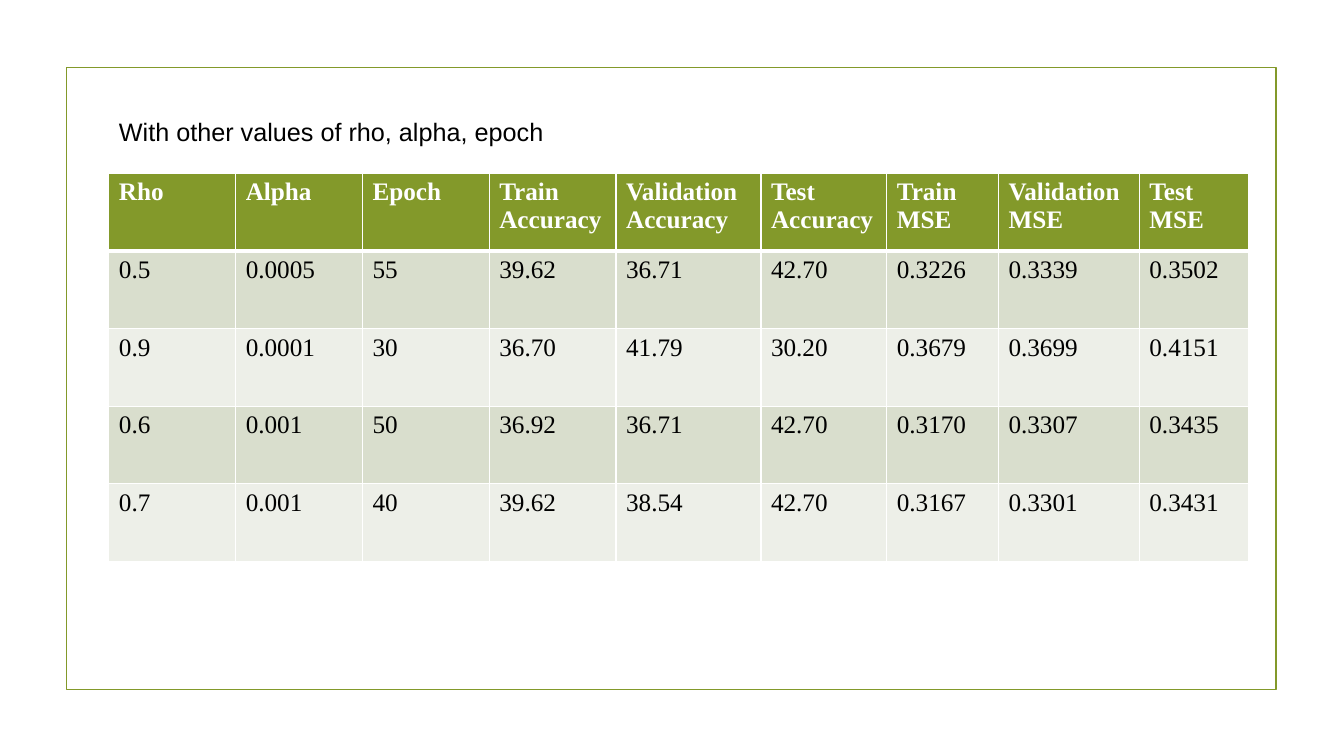
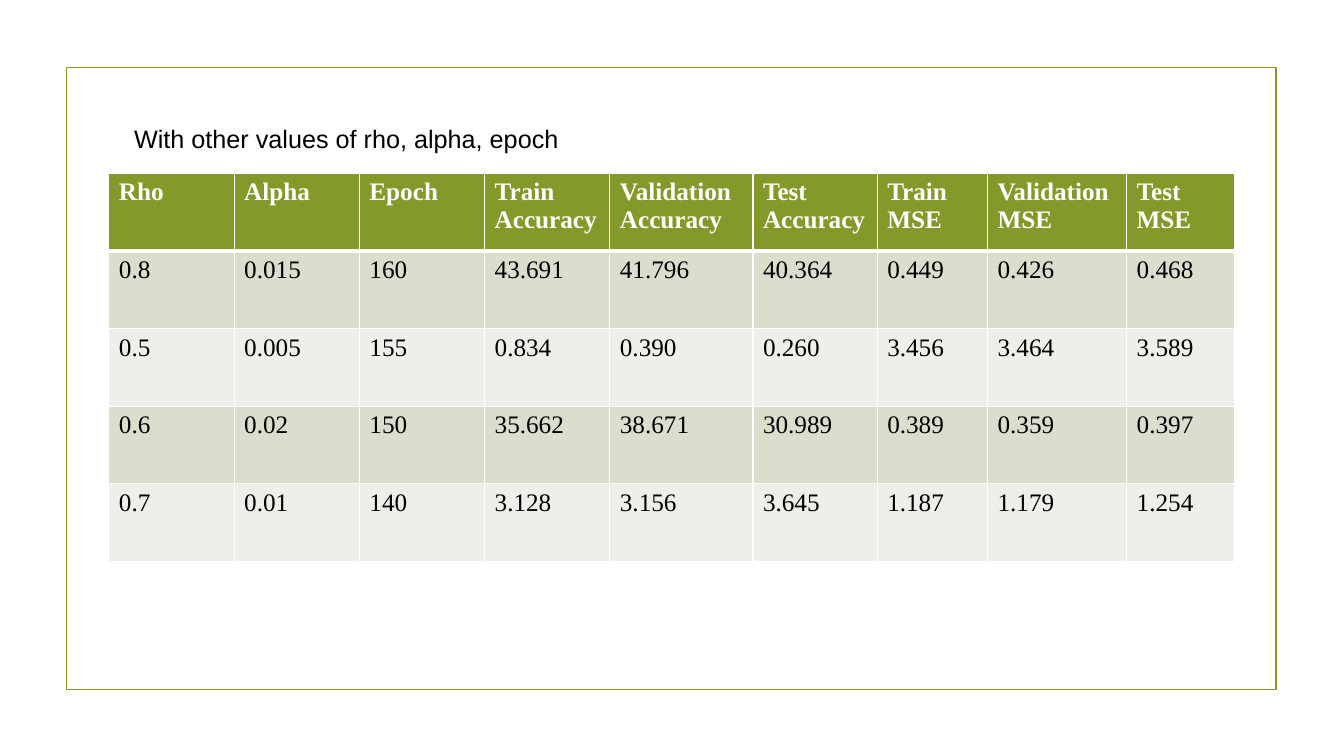
import lxml.etree
import pptx
import pptx.dml.color
import pptx.enum.shapes
import pptx.enum.text
import pptx.oxml.ns
import pptx.util

HEADING = "With other values of rho, alpha, epoch"
COLUMNS = [
    ("Rho", 126), ("Alpha", 126), ("Epoch", 126),
    ("Train\nAccuracy", 126), ("Validation\nAccuracy", 144), ("Test\nAccuracy", 125),
    ("Train\nMSE", 111), ("Validation\nMSE", 140), ("Test\nMSE", 109),
]
PAGES = [
    {
        "heading_box": (108, 110, 1082, 40),
        "table_width": 1131,
        "rows": [
            ("0.5", "0.0005", "55", "39.62", "36.71", "42.70", "0.3226", "0.3339", "0.3502"),
            ("0.9", "0.0001", "30", "36.70", "41.79", "30.20", "0.3679", "0.3699", "0.4151"),
            ("0.6", "0.001", "50", "36.92", "36.71", "42.70", "0.3170", "0.3307", "0.3435"),
            ("0.7", "0.001", "40", "39.62", "38.54", "42.70", "0.3167", "0.3301", "0.3431"),
        ],
    },
    {
        "heading_box": (123, 117, 750, 101),
        "table_width": 1117,
        "rows": [
            ("0.8", "0.015", "160", "43.691", "41.796", "40.364", "0.449", "0.426", "0.468"),
            ("0.5", "0.005", "155", "0.834", "0.390", "0.260", "3.456", "3.464", "3.589"),
            ("0.6", "0.02", "150", "35.662", "38.671", "30.989", "0.389", "0.359", "0.397"),
            ("0.7", "0.01", "140", "3.128", "3.156", "3.645", "1.187", "1.179", "1.254"),
        ],
    },
]

THEME = {
    "green": "83992A", "white": "FFFFFF", "black": "000000",
    "bands": ("D9DECD", "EDEFE8"),
    "heading_font": "Arial", "table_font": "Times New Roman",
    "text_size": 18, "frame_line": 1.25, "grid_line": 1, "header_line": 3,
}
PX_PER_INCH = 100
SLIDE_SIZE = (1333, 750)
FRAME_BOX = (66, 67, 1200, 617)
TABLE_LEFT, TABLE_TOP, ROW_HEIGHT = 108, 172, 77


def px(length):
    return pptx.util.Emu(round(length * pptx.util.Inches(1) / PX_PER_INCH))


def rgb(name):
    return pptx.dml.color.RGBColor.from_string(THEME.get(name, name))


def style_text(text_frame, font_name, color, bold=False):
    for para in text_frame.paragraphs:
        para.font.name = font_name
        para.font.size = pptx.util.Pt(THEME["text_size"])
        para.font.color.rgb = rgb(color)
        para.font.bold = bold


def add_frame(layout, page):
    """Draw the frame on a page, then hand it to the layout all pages share."""
    frame = page.shapes.add_shape(
        pptx.enum.shapes.MSO_SHAPE.RECTANGLE, *map(px, FRAME_BOX))
    frame.shadow.inherit = False
    frame.fill.background()
    frame.line.color.rgb = rgb("green")
    frame.line.width = pptx.util.Pt(THEME["frame_line"])
    layout.shapes.element.append(frame.element)


def add_heading(page, box):
    title = page.shapes.title
    title.left, title.top, title.width, title.height = map(px, box)
    text_frame = title.text_frame
    text_frame.text = HEADING
    text_frame.word_wrap = True
    text_frame.auto_size = pptx.enum.text.MSO_AUTO_SIZE.NONE
    text_frame.vertical_anchor = pptx.enum.text.MSO_ANCHOR.TOP
    text_frame.paragraphs[0].alignment = pptx.enum.text.PP_ALIGN.LEFT
    style_text(text_frame, THEME["heading_font"], "black")


def set_borders(cell, top, bottom):
    """Give a cell white borders; must run before its fill is set."""
    widths = {"L": THEME["grid_line"], "R": THEME["grid_line"], "T": top, "B": bottom}
    qn = pptx.oxml.ns.qn
    properties = cell._tc.get_or_add_tcPr()
    for side, width in widths.items():
        line = lxml.etree.SubElement(
            properties, qn(f"a:ln{side}"), w=str(pptx.util.Pt(width)))
        fill = lxml.etree.SubElement(line, qn("a:solidFill"))
        lxml.etree.SubElement(fill, qn("a:srgbClr"), val=THEME["white"])


def add_results_table(page, width, rows):
    grid = [[name for name, _ in COLUMNS], *rows]
    table = page.shapes.add_table(
        len(grid), len(COLUMNS), px(TABLE_LEFT), px(TABLE_TOP),
        px(width), px(ROW_HEIGHT * len(grid))).table
    table.horz_banding = False
    total = sum(weight for _, weight in COLUMNS)
    for column, (_, weight) in zip(table.columns, COLUMNS):
        column.width = px(width * weight / total)
    for row_index, values in enumerate(grid):
        table.rows[row_index].height = px(ROW_HEIGHT)
        is_header = row_index == 0
        fill = "green" if is_header else THEME["bands"][(row_index - 1) % 2]
        top = THEME["header_line"] if row_index == 1 else THEME["grid_line"]
        bottom = THEME["header_line"] if is_header else THEME["grid_line"]
        for column_index, value in enumerate(values):
            cell = table.cell(row_index, column_index)
            set_borders(cell, top, bottom)
            cell.fill.solid()
            cell.fill.fore_color.rgb = rgb(fill)
            cell.text = value
            style_text(cell.text_frame, THEME["table_font"],
                       "white" if is_header else "black", is_header)


def main():
    deck = pptx.Presentation()
    deck.slide_width, deck.slide_height = map(px, SLIDE_SIZE)
    layout = deck.slide_layouts.get_by_name("Title Only")
    for index, content in enumerate(PAGES):
        page = deck.slides.add_slide(layout)
        if index == 0:
            add_frame(layout, page)
        add_heading(page, content["heading_box"])
        add_results_table(page, content["table_width"], content["rows"])
    deck.save("out.pptx")


if __name__ == "__main__":
    main()
